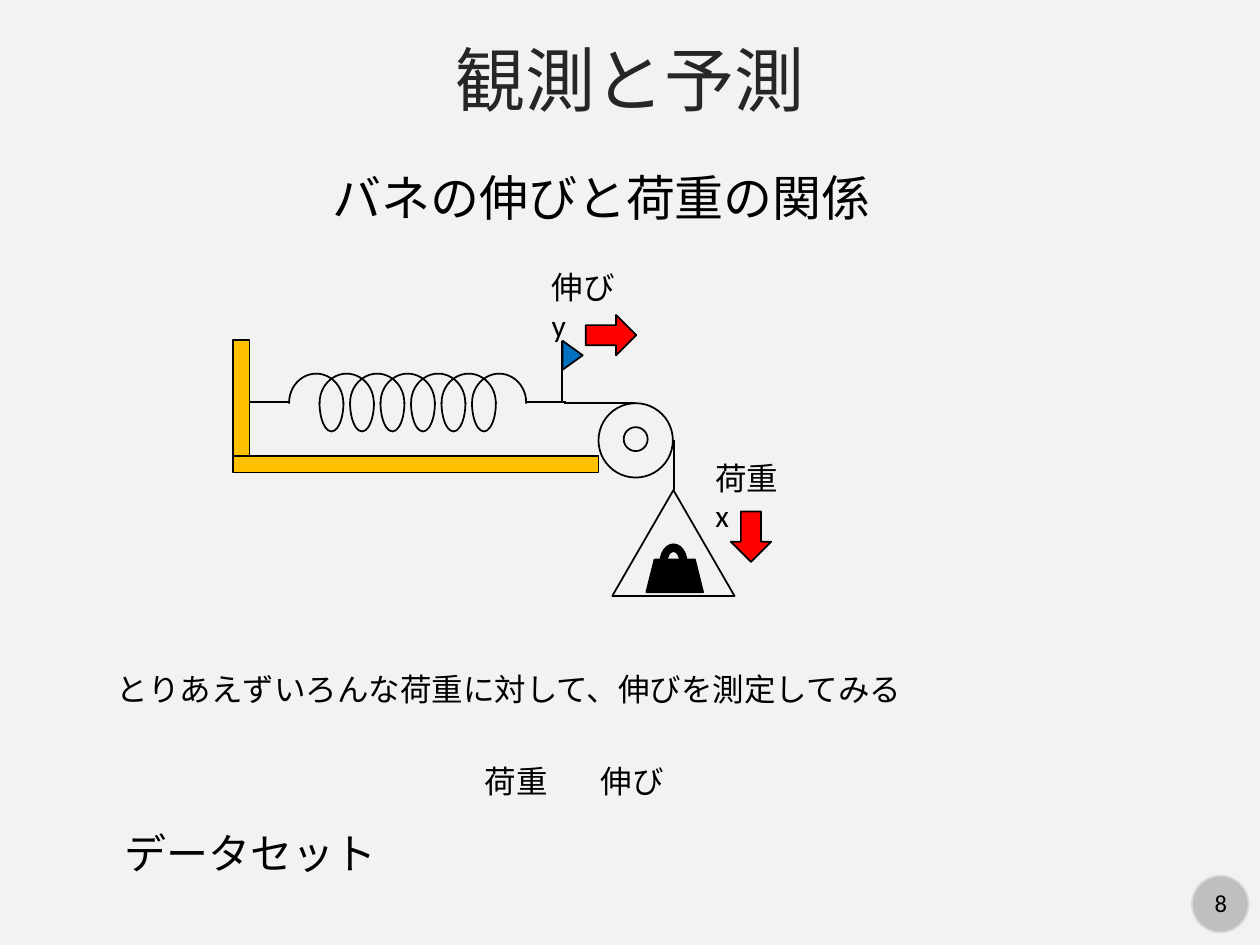
from lxml.etree import SubElement
from pptx import Presentation
from pptx.dml.color import RGBColor
from pptx.enum.shapes import MSO_CONNECTOR, MSO_SHAPE
from pptx.enum.text import MSO_ANCHOR, PP_ALIGN
from pptx.oxml.ns import qn
from pptx.util import Inches, Pt

COLORS = {
    "background": "F2F2F2", "title": "262626", "ink": "000000",
    "frame": "FFC000", "arrow": "FF0000", "flag": "0070C0",
    "badge": "BFBFBF", "badge_edge": "D9D9D9",
}
FONT = "Calibri"

# text, (left, top, width, height), size
CAPTIONS = [
    ("バネの伸びと荷重の関係", (2.54, 1.28, 4.52, 0.57), 28),
    ("とりあえずいろんな荷重に対して、伸びを測定してみる", (0.83, 5.27, 6.51, 0.4), 18),
    ("データセット", (0.89, 6.52, 2.22, 0.5), 24),
    ("荷重", (3.75, 6, 0.71, 0.4), 18),
    ("伸び", (4.67, 6, 0.71, 0.4), 18),
]
VARIABLES = [
    ("荷重 x", (5.58, 3.59, 0.9, 0.4)),
    ("伸び y", (4.28, 2.08, 0.89, 0.4)),
]

# preset, (left, top, width, height), fill, rotation
APPARATUS = [
    (MSO_SHAPE.RECTANGLE, (1.85, 2.7, 0.13, 0.92), "frame", 0),
    (MSO_SHAPE.RECTANGLE, (1.85, 3.62, 2.9, 0.13), "frame", 0),
    (MSO_SHAPE.OVAL, (4.75, 3.2, 0.59, 0.59), None, 0),
    (MSO_SHAPE.OVAL, (4.95, 3.39, 0.19, 0.19), None, 0),
    (MSO_SHAPE.ISOSCELES_TRIANGLE, (4.86, 3.89, 0.97, 0.84), None, 0),
    (MSO_SHAPE.TRAPEZOID, (5.13, 4.44, 0.45, 0.26), "ink", 0),
    (MSO_SHAPE.BLOCK_ARC, (5.24, 4.32, 0.21, 0.29), "ink", 0),
    (MSO_SHAPE.DOWN_ARROW, (5.8, 4.06, 0.32, 0.4), "arrow", 0),
    (MSO_SHAPE.ISOSCELES_TRIANGLE, (4.43, 2.74, 0.23, 0.16), "flag", 90),
    (MSO_SHAPE.DOWN_ARROW, (4.69, 2.46, 0.32, 0.4), "arrow", 270),
]
# x1, y1, x2, y2
STRINGS = [
    (2.3, 3.19, 1.98, 3.19),
    (4.49, 3.19, 4.17, 3.19),
    (4.48, 3.2, 5.04, 3.2),
    (5.35, 3.49, 5.35, 3.89),
    (4.46, 3.2, 4.46, 2.71),
]

COIL_LEFT, COIL_MIDDLE, COIL_STEP, COIL_LENGTH = 2.28, 3.195, 0.242, 0.46
UPPER_TURNS, UPPER_WIDTH = 7, 0.43
LOWER_TURNS, LOWER_WIDTH = 6, 0.19
ARC_ENDS = (160.7, 55.15)


def add_text(shapes, text, box, size, color="ink", align=PP_ALIGN.LEFT,
             anchor=MSO_ANCHOR.TOP, wrap=False, right_inset=0.1):
    frame = shapes.add_textbox(*map(Inches, box)).text_frame
    frame.word_wrap = wrap
    frame.vertical_anchor = anchor
    frame.margin_right = Inches(right_inset)
    paragraph = frame.paragraphs[0]
    paragraph.alignment = align
    run = paragraph.add_run()
    run.text = text
    run.font.name = FONT
    run.font.size = Pt(size)
    run.font.color.rgb = RGBColor.from_string(COLORS[color])


def add_part(shapes, preset, box, fill=None, rotation=0, edge="ink"):
    part = shapes.add_shape(preset, *map(Inches, box))
    part.shadow.inherit = False
    part.rotation = rotation
    if fill:
        part.fill.solid()
        part.fill.fore_color.rgb = RGBColor.from_string(COLORS[fill])
    else:
        part.fill.background()
    part.line.color.rgb = RGBColor.from_string(COLORS[edge])
    part.line.width = Pt(1)
    return part


def add_string(shapes, ends):
    string = shapes.add_connector(MSO_CONNECTOR.STRAIGHT, *map(Inches, ends))
    string.line.color.rgb = RGBColor.from_string(COLORS["ink"])
    string.line.width = Pt(1)
    SubElement(string._element.spPr, qn("a:effectLst"))


def add_turns(shapes, count, left, width, rotation):
    """Draw one row of half loops of the spring."""
    for turn in range(count):
        box = (left + turn * COIL_STEP, COIL_MIDDLE - width / 2, COIL_LENGTH, width)
        arc = add_part(shapes, MSO_SHAPE.ARC, box, rotation=rotation)
        arc.adjustments[0], arc.adjustments[1] = ARC_ENDS


def main():
    prs = Presentation()
    prs.slide_width, prs.slide_height = Inches(10), Inches(7.5)
    slide = prs.slides.add_slide(prs.slide_layouts[6])
    slide.background.fill.solid()
    slide.background.fill.fore_color.rgb = RGBColor.from_string(COLORS["background"])
    shapes = slide.shapes

    add_part(shapes, MSO_SHAPE.OVAL, (9.46, 6.95, 0.45, 0.45), "badge", edge="badge_edge")
    add_text(shapes, "8", (9.47, 7, 0.44, 0.34), 14, align=PP_ALIGN.CENTER)
    add_text(shapes, "観測と予測", (0, 0.21, 10, 0.82), 40, color="title",
             align=PP_ALIGN.CENTER, anchor=MSO_ANCHOR.MIDDLE, wrap=True)

    apparatus = shapes.add_group_shape().shapes
    add_turns(apparatus, UPPER_TURNS, COIL_LEFT, UPPER_WIDTH, 270)
    add_turns(apparatus, LOWER_TURNS, COIL_LEFT + COIL_STEP / 2, LOWER_WIDTH, 90)
    for ends in STRINGS:
        add_string(apparatus, ends)
    for preset, box, fill, rotation in APPARATUS:
        add_part(apparatus, preset, box, fill, rotation)
    for text, box in VARIABLES:
        add_text(apparatus, text, box, 18, wrap=True, right_inset=0.2)

    for text, box, size in CAPTIONS:
        add_text(shapes, text, box, size)

    prs.save("out.pptx")


if __name__ == "__main__":
    main()
